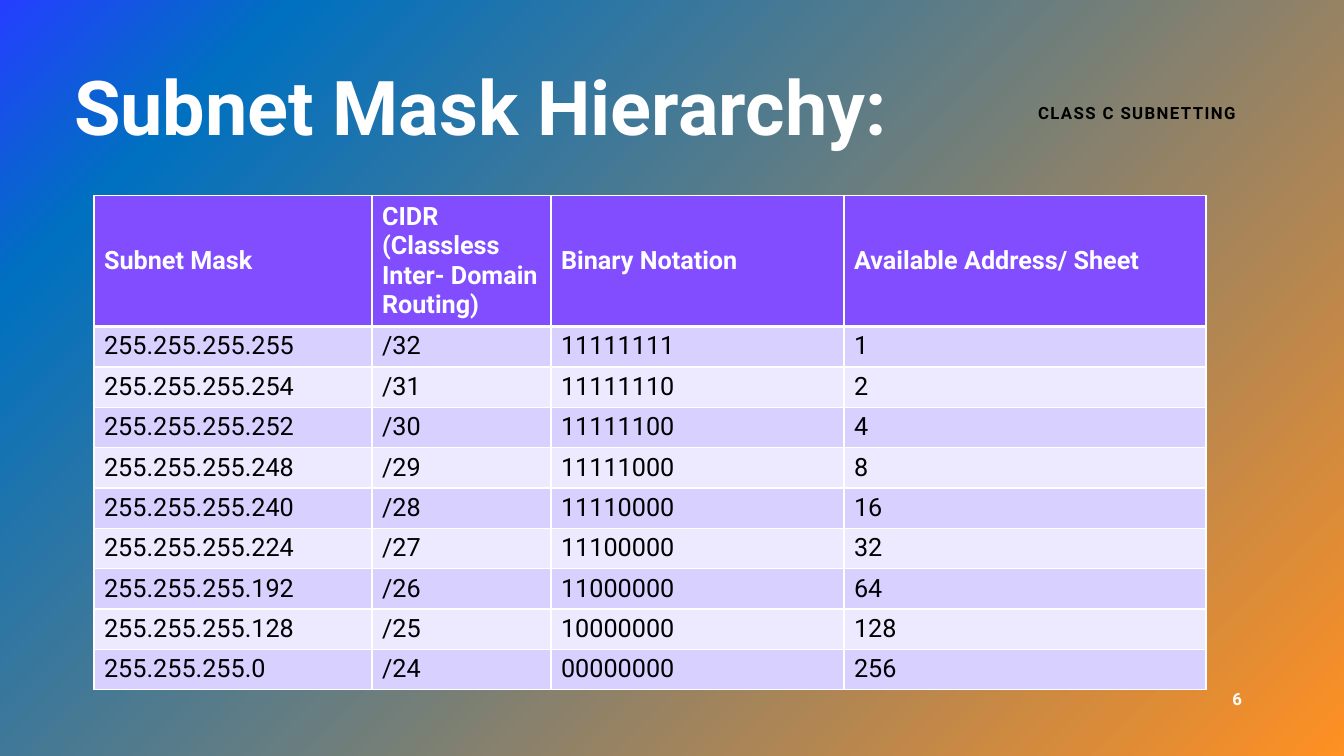
"""Build the subnet mask hierarchy slide."""
from copy import deepcopy

from lxml.etree import SubElement
from pptx import Presentation
from pptx.dml.color import RGBColor
from pptx.enum.text import MSO_ANCHOR, MSO_AUTO_SIZE, PP_ALIGN
from pptx.oxml.ns import qn
from pptx.util import Emu, Pt

TITLE = "Subnet Mask Hierarchy:"
LABELS = [
    ("CLASS C SUBNETTING", (937, 93, 400, 40), PP_ALIGN.CENTER, "black"),
    ("6", (950, 679, 302, 40), PP_ALIGN.RIGHT, "white"),
]
HEADERS = [
    "Subnet Mask",
    "CIDR (Classless Inter- Domain Routing)",
    "Binary Notation",
    "Available Address/ Sheet",
]
SUBNETS = [
    ("255.255.255.255", "/32", "11111111", "1"),
    ("255.255.255.254", "/31", "11111110", "2"),
    ("255.255.255.252", "/30", "11111100", "4"),
    ("255.255.255.248", "/29", "11111000", "8"),
    ("255.255.255.240", "/28", "11110000", "16"),
    ("255.255.255.224", "/27", "11100000", "32"),
    ("255.255.255.192", "/26", "11000000", "64"),
    ("255.255.255.128", "/25", "10000000", "128"),
    ("255.255.255.0", "/24", "00000000", "256"),
]
COLUMN_WIDTHS = [278, 179, 293, 362]
HEADER_HEIGHT, ROW_HEIGHT = 114, 28
COLORS = {
    "white": "FFFFFF",
    "black": "000000",
    "header": "814DFF",
    "odd": "D8D0FF",
    "even": "EDE9FF",
}
GRADIENT = [(0, "243FFF"), (0.14, "0070C0"), (1, "FF9022")]
EMU_PER_PX = 914400 / 100.8


def px(length):
    return Emu(round(length * EMU_PER_PX))


def write_text(frame, text, size, color="white", bold=True, align=PP_ALIGN.LEFT,
               line_spacing=None, tracking=None):
    frame.word_wrap = True
    paragraph = frame.paragraphs[0]
    paragraph.alignment = align
    paragraph.line_spacing = line_spacing
    run = paragraph.add_run()
    run.text = text
    run.font.name = "Roboto"
    run.font.size = Pt(size)
    run.font.bold = bold
    run.font.color.rgb = RGBColor.from_string(COLORS[color])
    if tracking:
        run.font._element.set("spc", str(tracking * 100))


def paint_background(slide):
    fill = slide.background.fill
    fill.gradient()
    fill.gradient_angle = 315
    stop_list = slide.element.find(".//" + qn("a:gsLst"))
    stop_list.append(deepcopy(stop_list[0]))
    for stop, (position, color) in zip(fill.gradient_stops, GRADIENT):
        stop.position = position
        stop.color.rgb = RGBColor.from_string(color)


def draw_borders(cell, top, bottom):
    properties = cell._tc.get_or_add_tcPr()
    for side, width in (("L", 1), ("R", 1), ("T", top), ("B", bottom)):
        line = SubElement(properties, qn(f"a:ln{side}"), w=str(Pt(width)))
        fill = SubElement(line, qn("a:solidFill"))
        SubElement(fill, qn("a:srgbClr"), val=COLORS["white"])


def add_subnet_table(slide):
    rows = [HEADERS, *SUBNETS]
    height = HEADER_HEIGHT + ROW_HEIGHT * len(SUBNETS)
    table = slide.shapes.add_table(
        len(rows), len(HEADERS), px(94), px(195.5), px(sum(COLUMN_WIDTHS)), px(height)
    ).table
    for column, width in zip(table.columns, COLUMN_WIDTHS):
        column.width = px(width)
    for row_index, values in enumerate(rows):
        is_header = row_index == 0
        table.rows[row_index].height = px(HEADER_HEIGHT if is_header else ROW_HEIGHT)
        band = "header" if is_header else "odd" if row_index % 2 else "even"
        for column_index, value in enumerate(values):
            cell = table.cell(row_index, column_index)
            draw_borders(cell, top=3 if row_index == 1 else 1, bottom=3 if is_header else 1)
            cell.fill.solid()
            cell.fill.fore_color.rgb = RGBColor.from_string(COLORS[band])
            cell.vertical_anchor = MSO_ANCHOR.MIDDLE if is_header else MSO_ANCHOR.TOP
            write_text(cell.text_frame, value, 18, "white" if is_header else "black", is_header)


def main():
    presentation = Presentation()
    presentation.slide_width, presentation.slide_height = px(1344), px(756)
    slide = presentation.slides.add_slide(presentation.slide_layouts[5])
    paint_background(slide)

    title = slide.shapes.title
    title.left, title.top, title.width, title.height = map(px, (64, 38, 895, 146))
    title.text_frame.auto_size = MSO_AUTO_SIZE.NONE
    title.text_frame.vertical_anchor = MSO_ANCHOR.MIDDLE
    write_text(title.text_frame, TITLE, 54, line_spacing=0.9)

    for text, box, align, color in LABELS:
        frame = slide.shapes.add_textbox(*map(px, box)).text_frame
        frame.vertical_anchor = MSO_ANCHOR.MIDDLE
        write_text(frame, text, 12, color, align=align, tracking=1)

    add_subnet_table(slide)
    presentation.save("out.pptx")


if __name__ == "__main__":
    main()
